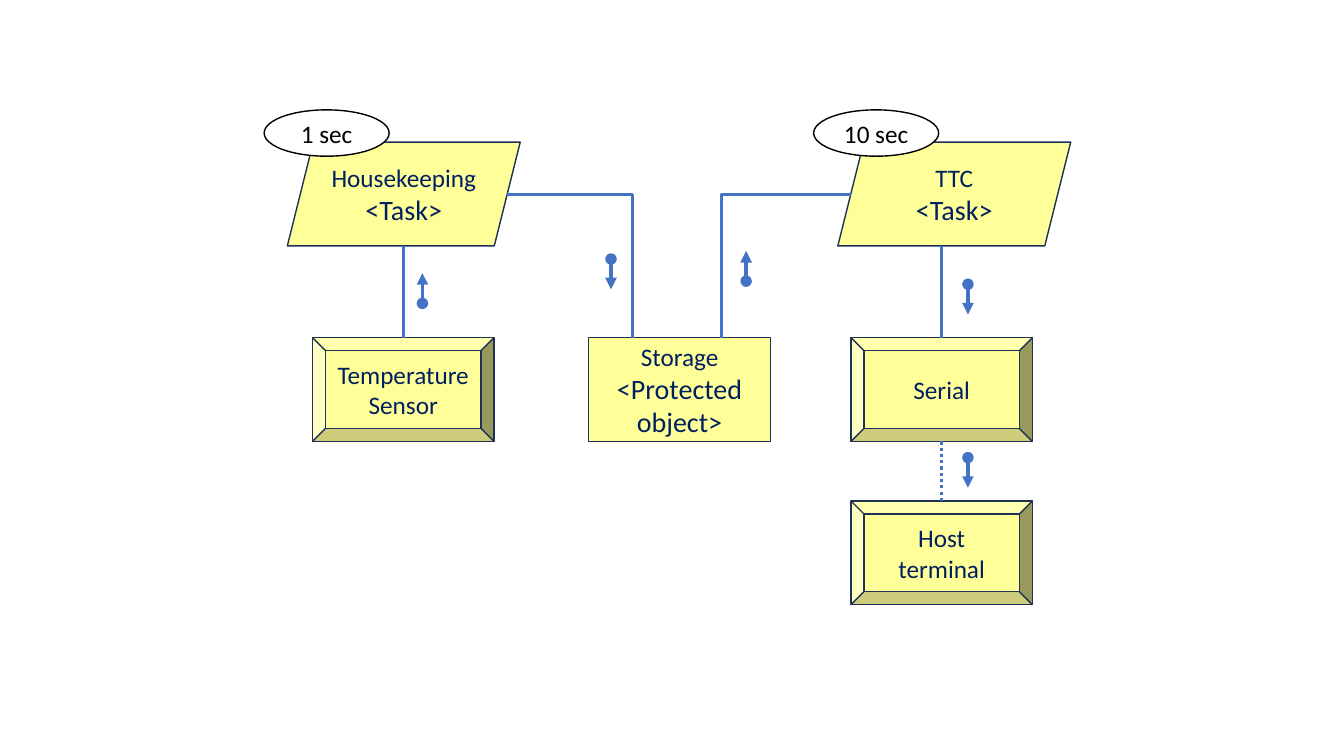
from dataclasses import dataclass

from lxml.etree import SubElement
from pptx import Presentation
from pptx.dml.color import RGBColor
from pptx.enum.dml import MSO_LINE
from pptx.enum.shapes import MSO_CONNECTOR, MSO_SHAPE
from pptx.enum.text import MSO_ANCHOR, PP_ALIGN
from pptx.oxml.ns import qn
from pptx.shapes.connector import Connector
from pptx.slide import Slide
from pptx.util import Inches, Pt

YELLOW = RGBColor(0xFF, 0xFF, 0x99)
OUTLINE = RGBColor(0x1E, 0x32, 0x56)
NAVY = RGBColor(0x00, 0x20, 0x60)
BLUE = RGBColor(0x44, 0x72, 0xC4)
WHITE = RGBColor(0xFF, 0xFF, 0xFF)
BLACK = RGBColor(0x00, 0x00, 0x00)

FONT = "Calibri"
NAME_SIZE = 18
STEREOTYPE_SIZE = 20
NODE_HEIGHT = 1.03
TASK_TOP = 1.41
DEVICE_TOP = 3.35
HOST_TOP = 4.97
TASK_BOTTOM = TASK_TOP + NODE_HEIGHT
TASK_MIDDLE = 1.93
TASK_WIDTH = 2.31
BOX_WIDTH = 1.8
SENSOR_CENTER = 4.0
SERIAL_CENTER = 9.34
FLOW_LENGTH = 0.3


@dataclass(frozen=True)
class Node:
    kind: MSO_SHAPE
    left: float
    top: float
    width: float
    names: tuple[str, ...]
    stereotype: str = ""
    height: float = NODE_HEIGHT
    fill: RGBColor = YELLOW
    outline: RGBColor = OUTLINE
    font_color: RGBColor = NAVY


@dataclass(frozen=True)
class Link:
    start: tuple[float, float]
    end: tuple[float, float]
    bent: bool = False
    dotted: bool = False


@dataclass(frozen=True)
class Flow:
    x: float
    top: float
    upward: bool = False


def period(left: float, label: str) -> Node:
    return Node(MSO_SHAPE.OVAL, left, 1.09, 1.24, (label,), height=0.46,
                fill=WHITE, outline=BLACK, font_color=BLACK)


NODES = (
    Node(MSO_SHAPE.PARALLELOGRAM, 2.85, TASK_TOP, TASK_WIDTH, ("Housekeeping",), "<Task>"),
    Node(MSO_SHAPE.PARALLELOGRAM, 8.31, TASK_TOP, TASK_WIDTH, ("TTC",), "<Task>"),
    Node(MSO_SHAPE.RECTANGLE, 5.84, DEVICE_TOP, BOX_WIDTH, ("Storage",), "<Protected object>"),
    Node(MSO_SHAPE.BEVEL, SENSOR_CENTER - BOX_WIDTH / 2, DEVICE_TOP, BOX_WIDTH,
         ("Temperature", "Sensor")),
    Node(MSO_SHAPE.BEVEL, SERIAL_CENTER - BOX_WIDTH / 2, DEVICE_TOP, BOX_WIDTH, ("Serial",)),
    Node(MSO_SHAPE.BEVEL, SERIAL_CENTER - BOX_WIDTH / 2, HOST_TOP, BOX_WIDTH,
         ("Host", "terminal")),
)
PERIODS = (period(2.62, "1 sec"), period(8.07, "10 sec"))

LINKS = (
    Link((SENSOR_CENTER, DEVICE_TOP), (SENSOR_CENTER, TASK_BOTTOM)),
    Link((5.03, TASK_MIDDLE), (6.27, DEVICE_TOP), bent=True),
    Link((8.44, TASK_MIDDLE), (7.16, DEVICE_TOP), bent=True),
    Link((SERIAL_CENTER, DEVICE_TOP), (SERIAL_CENTER, TASK_BOTTOM)),
    Link((SERIAL_CENTER, HOST_TOP), (SERIAL_CENTER, DEVICE_TOP + NODE_HEIGHT), dotted=True),
)

FLOWS = (
    Flow(4.19, 2.71, upward=True),
    Flow(9.6, 2.82),
    Flow(6.06, 2.57),
    Flow(7.4, 2.49, upward=True),
    Flow(9.6, 4.54),
)


def draw_node(slide: Slide, node: Node) -> None:
    shape = slide.shapes.add_shape(node.kind, Inches(node.left), Inches(node.top),
                                   Inches(node.width), Inches(node.height))
    shape.shadow.inherit = False
    shape.fill.solid()
    shape.fill.fore_color.rgb = node.fill
    shape.line.color.rgb = node.outline
    shape.line.width = Pt(1)
    text_frame = shape.text_frame
    lines = node.names + ((node.stereotype,) if node.stereotype else ())
    text_frame.text = "\n".join(lines)
    text_frame.word_wrap = True
    text_frame.vertical_anchor = MSO_ANCHOR.MIDDLE
    for index, paragraph in enumerate(text_frame.paragraphs):
        paragraph.alignment = PP_ALIGN.CENTER
        font = paragraph.runs[0].font
        font.name = FONT
        font.size = Pt(NAME_SIZE if index < len(node.names) else STEREOTYPE_SIZE)
        font.color.rgb = node.font_color


def add_line(slide: Slide, kind: MSO_CONNECTOR, start: tuple[float, float],
             end: tuple[float, float], width: float) -> Connector:
    connector = slide.shapes.add_connector(kind, Inches(start[0]), Inches(start[1]),
                                           Inches(end[0]), Inches(end[1]))
    connector.line.color.rgb = BLUE
    connector.line.width = Pt(width)
    SubElement(connector._element.spPr, qn("a:effectLst"))
    return connector


def draw_link(slide: Slide, link: Link) -> None:
    kind = MSO_CONNECTOR.ELBOW if link.bent else MSO_CONNECTOR.STRAIGHT
    connector = add_line(slide, kind, link.start, link.end, 2.25)
    if link.bent:
        connector._element.spPr.find(qn("a:prstGeom")).set("prst", "bentConnector2")
    if link.dotted:
        connector.line.dash_style = MSO_LINE.ROUND_DOT


def draw_flow(slide: Slide, flow: Flow) -> None:
    top, bottom = (flow.x, flow.top), (flow.x, flow.top + FLOW_LENGTH)
    start, end = (bottom, top) if flow.upward else (top, bottom)
    connector = add_line(slide, MSO_CONNECTOR.STRAIGHT, start, end, 2.75)
    line = connector._element.spPr.find(qn("a:ln"))
    SubElement(line, qn("a:headEnd"), type="oval")
    SubElement(line, qn("a:tailEnd"), type="triangle")


def main() -> None:
    presentation = Presentation()
    presentation.slide_width = Inches(13.33)
    presentation.slide_height = Inches(7.5)
    slide = presentation.slides.add_slide(presentation.slide_layouts[6])
    for node in NODES:
        draw_node(slide, node)
    for link in LINKS:
        draw_link(slide, link)
    for flow in FLOWS:
        draw_flow(slide, flow)
    for oval in PERIODS:
        draw_node(slide, oval)
    presentation.save("out.pptx")


if __name__ == "__main__":
    main()
